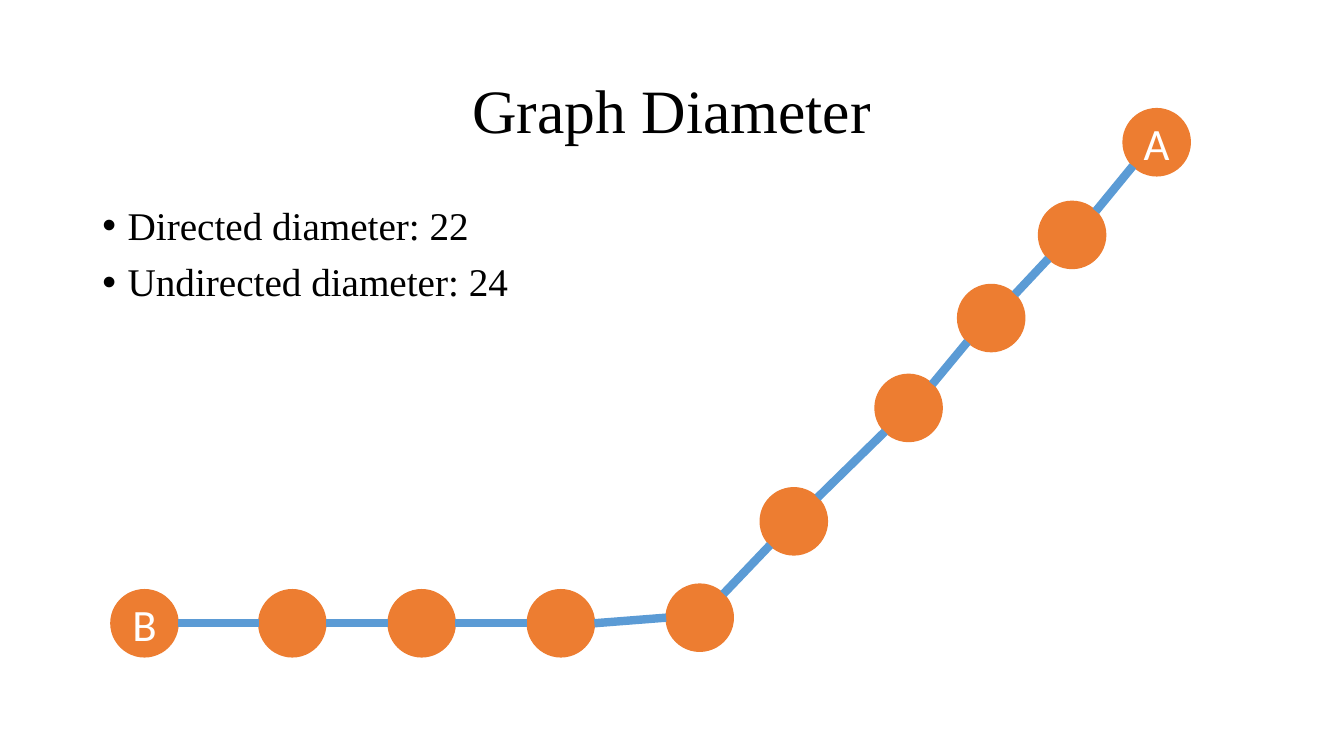
from math import cos, radians, sin

from lxml import etree
from pptx import Presentation
from pptx.dml.color import RGBColor
from pptx.enum import shapes, text
from pptx.oxml.ns import qn
from pptx.util import Pt

# Content
TITLE = "Graph Diameter"
DIAMETERS = ["Directed diameter: 22", "Undirected diameter: 24"]
# Nodes along the path from B to A: label, centre x, centre y
NODES = [
    ("B", 103.2, 445.2), ("", 208.8, 445.2), ("", 301.2, 445.2),
    ("", 400.6, 445.2), ("", 499.8, 441.2), ("", 567, 372.4),
    ("", 649, 291.4), ("", 708, 227.2), ("", 765.8, 167.8),
    ("A", 826.2, 101.6),
]
BEND = 4  # index of the node where the path turns upwards

COLORS = {"ink": "000000", "node": "ED7D31", "edge": "5B9BD5", "label": "FFFFFF"}
SERIF, SANS = "Times New Roman", "Calibri"
RADIUS = 24
MARGIN, CONTENT_WIDTH = 66, 828


def rgb(name):
    return RGBColor.from_string(COLORS[name])


def set_font(paragraph, face, size, color):
    paragraph.font.name = face
    paragraph.font.size = Pt(size)
    paragraph.font.color.rgb = rgb(color)


def place(placeholder, top, height):
    placeholder.left, placeholder.top = Pt(MARGIN), Pt(top)
    placeholder.width, placeholder.height = Pt(CONTENT_WIDTH), Pt(height)


deck = Presentation()
deck.slide_width, deck.slide_height = Pt(960), Pt(540)
slide = deck.slides.add_slide(deck.slide_layouts[1])

# Title
title = slide.shapes.title
place(title, 28.8, 104.4)
title.text_frame.text = TITLE
title.text_frame.vertical_anchor = text.MSO_ANCHOR.MIDDLE
heading = title.text_frame.paragraphs[0]
heading.alignment = text.PP_ALIGN.CENTER
heading.line_spacing = 0.9
set_font(heading, SERIF, 44, "ink")

# Diameter list
body = slide.placeholders[1]
place(body, 144, 342.7)
body.text_frame.text = "\n".join(DIAMETERS)
for item in body.text_frame.paragraphs:
    item.line_spacing = 0.9
    item.space_before = Pt(10)
    set_font(item, SERIF, 28, "ink")
    properties = item._p.get_or_add_pPr()
    properties.set("marL", str(Pt(18)))
    properties.set("indent", str(-Pt(18)))
    bullet_font = etree.SubElement(properties, qn("a:buFont"))
    bullet_font.set("typeface", "Arial")
    etree.SubElement(properties, qn("a:buChar")).set("char", "•")
    # The schema wants bullets ahead of the default run properties
    properties.append(properties.find(qn("a:defRPr")))

# Nodes
for label, x, y in NODES:
    node = slide.shapes.add_shape(
        shapes.MSO_SHAPE.OVAL,
        Pt(x - RADIUS), Pt(y - RADIUS), Pt(2 * RADIUS), Pt(2 * RADIUS))
    node.shadow.inherit = False
    node.fill.solid()
    node.fill.fore_color.rgb = rgb("node")
    node.line.color.rgb = rgb("node")
    node.line.width = Pt(1)
    if label:
        node.text_frame.text = label
        node.text_frame.vertical_anchor = text.MSO_ANCHOR.MIDDLE
        caption = node.text_frame.paragraphs[0]
        caption.alignment = text.PP_ALIGN.CENTER
        set_font(caption, SANS, 32, "label")

# Edges: leave each node to the right, or diagonally upwards after the bend
for index, ((_, x1, y1), (_, x2, y2)) in enumerate(zip(NODES, NODES[1:])):
    angle = radians(0 if index < BEND else 45)
    dx, dy = RADIUS * cos(angle), RADIUS * sin(angle)
    edge = slide.shapes.add_connector(
        shapes.MSO_CONNECTOR.STRAIGHT,
        Pt(x2 - dx), Pt(y2 + dy), Pt(x1 + dx), Pt(y1 - dy))
    edge.line.color.rgb = rgb("edge")
    edge.line.width = Pt(6)
    etree.SubElement(edge._element.spPr, qn("a:effectLst"))

deck.save("out.pptx")
